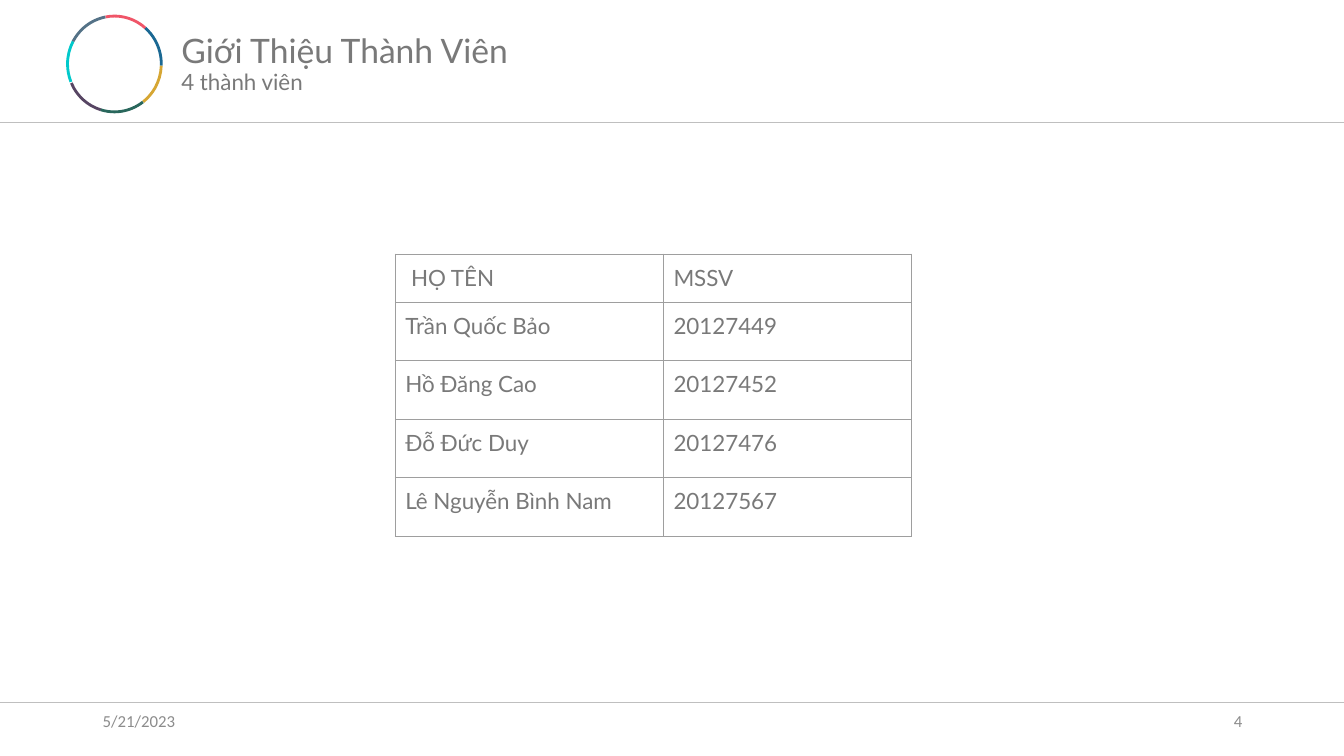
from lxml.etree import SubElement
from pptx import Presentation
from pptx.dml.color import RGBColor
from pptx.enum.shapes import MSO_CONNECTOR, MSO_SHAPE
from pptx.enum.text import MSO_ANCHOR, MSO_AUTO_SIZE, PP_ALIGN
from pptx.oxml.ns import qn
from pptx.util import Inches, Pt

WIDTH, HEIGHT = 13.33, 7.5
TEXT_GRAY = RGBColor(0x79, 0x79, 0x79)
FOOTER_GRAY = RGBColor(0x8C, 0x8C, 0x8C)
RULE_GRAY = RGBColor(0xBF, 0xBF, 0xBF)
BORDER_GRAY = RGBColor(0x9E, 0x9E, 0x9E)
PURPLE = RGBColor(0x57, 0x45, 0x63)
TURQUOISE = RGBColor(0x01, 0xC9, 0xCB)
CORAL = RGBColor(0xF0, 0x55, 0x68)
BLUE = RGBColor(0x1A, 0x68, 0x93)
GOLD = RGBColor(0xD6, 0xA6, 0x33)
GREEN = RGBColor(0x29, 0x67, 0x5C)
SLATE = RGBColor(0x54, 0x72, 0x87)

# Start and end of each ring segment, in clockwise degrees
RING_SEGMENTS = [
    (PURPLE, 106.35, 156.17),
    (TURQUOISE, 157.56, 208.79),
    (CORAL, 259.32, 310.76),
    (BLUE, 310.8, 2.08),
    (GOLD, 2.16, 52.7),
    (GREEN, 53.04, 106.63),
    (SLATE, 208.7, 259.1),
]
MEMBERS = [
    (" HỌ TÊN", "MSSV"),
    ("Trần Quốc Bảo", "20127449"),
    ("Hồ Đăng Cao", "20127452"),
    ("Đỗ Đức Duy", "20127476"),
    ("Lê Nguyễn Bình Nam", "20127567"),
]


class SlideBuilder:
    """Holds the text style and the current slide."""

    font = "Lato"
    color = TEXT_GRAY

    def __init__(self, slide):
        self.slide = slide

    def add_run(self, frame, text, size, font=None, color=None, align=PP_ALIGN.LEFT):
        paragraph = frame.paragraphs[0]
        paragraph.alignment = align
        run = paragraph.add_run()
        run.text = text
        run.font.size = Pt(size)
        run.font.name = font or self.font
        run.font.color.rgb = color or self.color

    def title(self, text, left, top, width, height, size):
        shape = self.slide.shapes.title
        shape.left, shape.top = Inches(left), Inches(top)
        shape.width, shape.height = Inches(width), Inches(height)
        frame = shape.text_frame
        frame.auto_size = MSO_AUTO_SIZE.NONE
        frame.vertical_anchor = MSO_ANCHOR.TOP
        self.add_run(frame, text, size)

    def text(self, text, left, top, width, height, size,
             anchor=MSO_ANCHOR.TOP, **style):
        box = self.slide.shapes.add_textbox(
            Inches(left), Inches(top), Inches(width), Inches(height))
        box.text_frame.word_wrap = True
        box.text_frame.vertical_anchor = anchor
        self.add_run(box.text_frame, text, size, **style)

    def arc(self, color, start, end, left, top, width, height):
        shape = self.slide.shapes.add_shape(
            MSO_SHAPE.ARC, Inches(left), Inches(top), Inches(width), Inches(height))
        # Angles are stored in 60000ths of a degree, adjustments in 100000ths
        shape.adjustments[0] = start * 0.6
        shape.adjustments[1] = end * 0.6
        shape.shadow.inherit = False
        shape.fill.background()
        shape.line.color.rgb = color
        shape.line.width = Pt(2)

    def rule(self, top):
        line = self.slide.shapes.add_connector(
            MSO_CONNECTOR.STRAIGHT, 0, Inches(top), Inches(WIDTH), Inches(top))
        line.line.color.rgb = RULE_GRAY
        line.line.width = Pt(0.5)
        SubElement(line._element.spPr, qn("a:effectLst"))

    def table(self, rows, left, top, widths, heights, size):
        table = self.slide.shapes.add_table(
            len(rows), len(widths), Inches(left), Inches(top),
            Inches(sum(widths)), Inches(sum(heights))).table
        table.first_row = table.horz_banding = False
        for column, width in zip(table.columns, widths):
            column.width = Inches(width)
        for row, height, values in zip(table.rows, heights, rows):
            row.height = Inches(height)
            for cell, value in zip(row.cells, values):
                cell.margin_left = cell.margin_right = Inches(0.1)
                cell.margin_top = cell.margin_bottom = Inches(0.1)
                self.border(cell)
                cell.fill.background()
                self.add_run(cell.text_frame, value, size)

    def border(self, cell):
        properties = cell._tc.get_or_add_tcPr()
        for side in ("lnL", "lnR", "lnT", "lnB"):
            line = SubElement(properties, qn(f"a:{side}"), w=str(Pt(0.75)))
            fill = SubElement(line, qn("a:solidFill"))
            SubElement(fill, qn("a:srgbClr"), val=str(BORDER_GRAY))


def main():
    presentation = Presentation()
    presentation.slide_width = Inches(WIDTH)
    presentation.slide_height = Inches(HEIGHT)
    slide = presentation.slides.add_slide(presentation.slide_layouts[5])
    builder = SlideBuilder(slide)

    # Header
    builder.title("Giới Thiệu Thành Viên", 1.7, 0.25, 3.51, 0.5, 24)
    for color, start, end in RING_SEGMENTS:
        builder.arc(color, start, end, 0.67, 0.16, 0.93, 0.95)
    builder.text("4 thành viên", 1.7, 0.63, 2.4, 0.37, 16)

    # Header and footer rules
    for top in (1.21, 6.97):
        builder.rule(top)

    # Footer
    for text, left, align in (("4", 9.42, PP_ALIGN.RIGHT),
                              ("5/21/2023", 0.92, PP_ALIGN.LEFT)):
        builder.text(text, left, 6.95, 3, 0.4, 12, anchor=MSO_ANCHOR.MIDDLE,
                     font="Calibri", color=FOOTER_GRAY, align=align)

    # Members
    heights = [0.48] + [0.58] * (len(MEMBERS) - 1)
    builder.table(MEMBERS, 3.92, 2.52, [2.66, 2.46], heights, 16)

    presentation.save("out.pptx")


if __name__ == "__main__":
    main()
